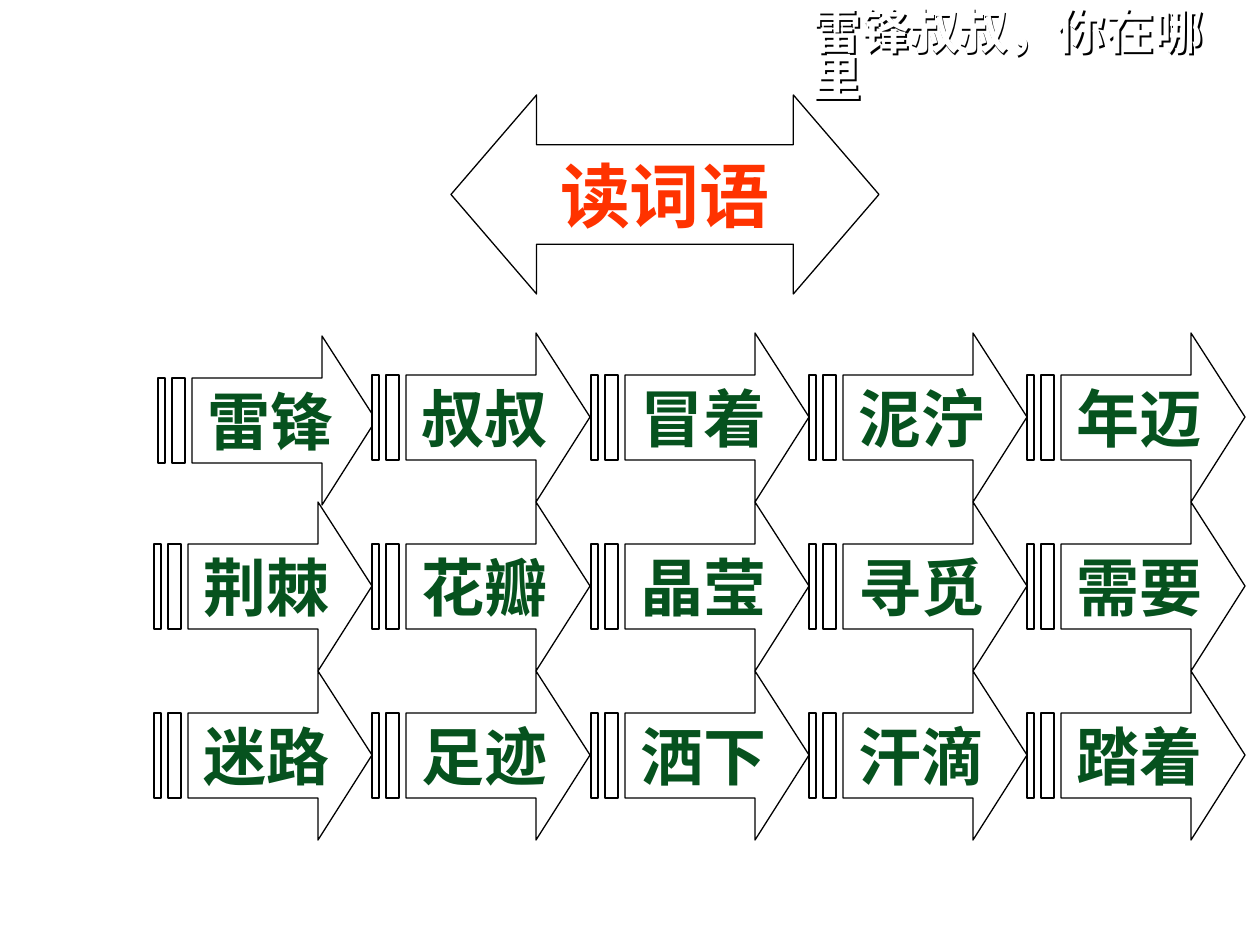
"""Build a slide of reading words set in striped arrows."""
from dataclasses import dataclass

from lxml import etree
from pptx import Presentation
from pptx.dml.color import RGBColor
from pptx.enum.shapes import MSO_SHAPE
from pptx.enum.text import MSO_ANCHOR, MSO_AUTO_SIZE, PP_ALIGN
from pptx.oxml.ns import qn
from pptx.shapes.autoshape import Shape
from pptx.slide import Slide
from pptx.text.text import Font
from pptx.util import Emu, Pt

SCALE = 914400 / 126
FACE = "Noto Sans CJK SC"
WHITE = RGBColor(0xFF, 0xFF, 0xFF)
BLACK = RGBColor(0x00, 0x00, 0x00)
GREEN = RGBColor(0x06, 0x52, 0x1E)
RED = RGBColor(0xFF, 0x33, 0x00)
CENTER = PP_ALIGN.CENTER
MIDDLE = MSO_ANCHOR.MIDDLE
GROW = MSO_AUTO_SIZE.SHAPE_TO_FIT_TEXT
DOUBLE = MSO_SHAPE.LEFT_RIGHT_ARROW

WORDS = (
    ("雷锋", "叔叔", "冒着", "泥泞", "年迈"),
    ("荆棘", "花瓣", "晶莹", "寻觅", "需要"),
    ("迷路", "足迹", "洒下", "汗滴", "踏着"),
)
LEFT, TOP = 154, 333
WIDE, HIGH = 218, 169
STEP = 218.3
SHIFT = (4, 3)
STRIPES = ((0, 7), (14, 27))
BODY, NECK = 34, 164
UPPER, LOWER = 42, 127


@dataclass(frozen=True)
class Arrow:
    """A word and the top left corner of its arrow."""

    word: str
    left: int
    top: int


def px(size: int) -> Emu:
    """Turn pixels into EMU."""
    return Emu(round(size * SCALE))


def style(font: Font, size: int, color: RGBColor) -> None:
    """Set the face, size and colour of bold text."""
    font.name = FACE
    font.size = Pt(size)
    font.bold = True
    font.color.rgb = color


def write(shape: Shape, text: str, size: int, color: RGBColor) -> None:
    """Write one unwrapped line in the given size and colour."""
    frame = shape.text_frame
    frame.word_wrap = False
    frame.text = text
    run = frame.paragraphs[0].runs[0]
    style(run.font, size, color)
    east = etree.SubElement(run.font._element, qn("a:ea"))
    east.set("typeface", FACE)


def finish(shape: Shape, text: str, size: int, color: RGBColor) -> None:
    """Give an arrow its fill, outline and centred text."""
    shape.shadow.inherit = False
    shape.fill.solid()
    shape.fill.fore_color.rgb = WHITE
    shape.line.color.rgb = BLACK
    shape.line.width = Pt(0.75)
    write(shape, text, size, color)
    shape.text_frame.vertical_anchor = MIDDLE
    shape.text_frame.paragraphs[0].alignment = CENTER


def draw(slide: Slide, arrow: Arrow) -> None:
    """Draw a striped arrow with its word."""
    pen = slide.shapes.build_freeform(BODY, UPPER, scale=SCALE)
    pen.add_line_segments([
        (NECK, UPPER), (NECK, 0), (WIDE, HIGH / 2),
        (NECK, HIGH), (NECK, LOWER), (BODY, LOWER),
    ])
    for start, end in STRIPES:
        pen.move_to(start, UPPER)
        pen.add_line_segments([(end, UPPER), (end, LOWER), (start, LOWER)])
    shape = pen.convert_to_shape(px(arrow.left), px(arrow.top))
    finish(shape, arrow.word, 36, GREEN)
    shape.text_frame.margin_left = px(20)
    shape.text_frame.margin_right = px(13)


def banner(slide: Slide) -> None:
    """Draw the double arrow that names the task."""
    shape = slide.shapes.add_shape(DOUBLE, px(451), px(95), px(428), px(199))
    shape.adjustments[0] = 0.5
    shape.adjustments[1] = 0.43
    finish(shape, "读词语", 40, RED)


def title(slide: Slide) -> None:
    """Write the white lesson title with its dark shadow."""
    box = slide.shapes.add_textbox(px(800), px(6), px(464), px(60))
    write(box, "雷锋叔叔，你在哪里", 28, WHITE)
    box.text_frame.auto_size = GROW
    box.text_frame.paragraphs[0].line_spacing = 0.8
    box.fill.background()
    box.line.fill.background()
    box.shadow.inherit = False
    effect = box._element.spPr.find(qn("a:effectLst"))
    shade = etree.SubElement(
        effect, qn("a:outerShdw"), dist="17961", dir="2700000"
    )
    etree.SubElement(shade, qn("a:srgbClr"), val=str(BLACK))


def main() -> None:
    """Build and save the slide."""
    deck = Presentation()
    deck.slide_width, deck.slide_height = px(1260), px(945)
    slide = deck.slides.add_slide(deck.slide_layouts[6])
    for row, line in enumerate(WORDS):
        for col, word in enumerate(line):
            right, down = SHIFT if row == col == 0 else (0, 0)
            left = LEFT + round(col * STEP) + right
            draw(slide, Arrow(word, left, TOP + row * HIGH + down))
    banner(slide)
    title(slide)
    deck.save("out.pptx")


if __name__ == "__main__":
    main()
